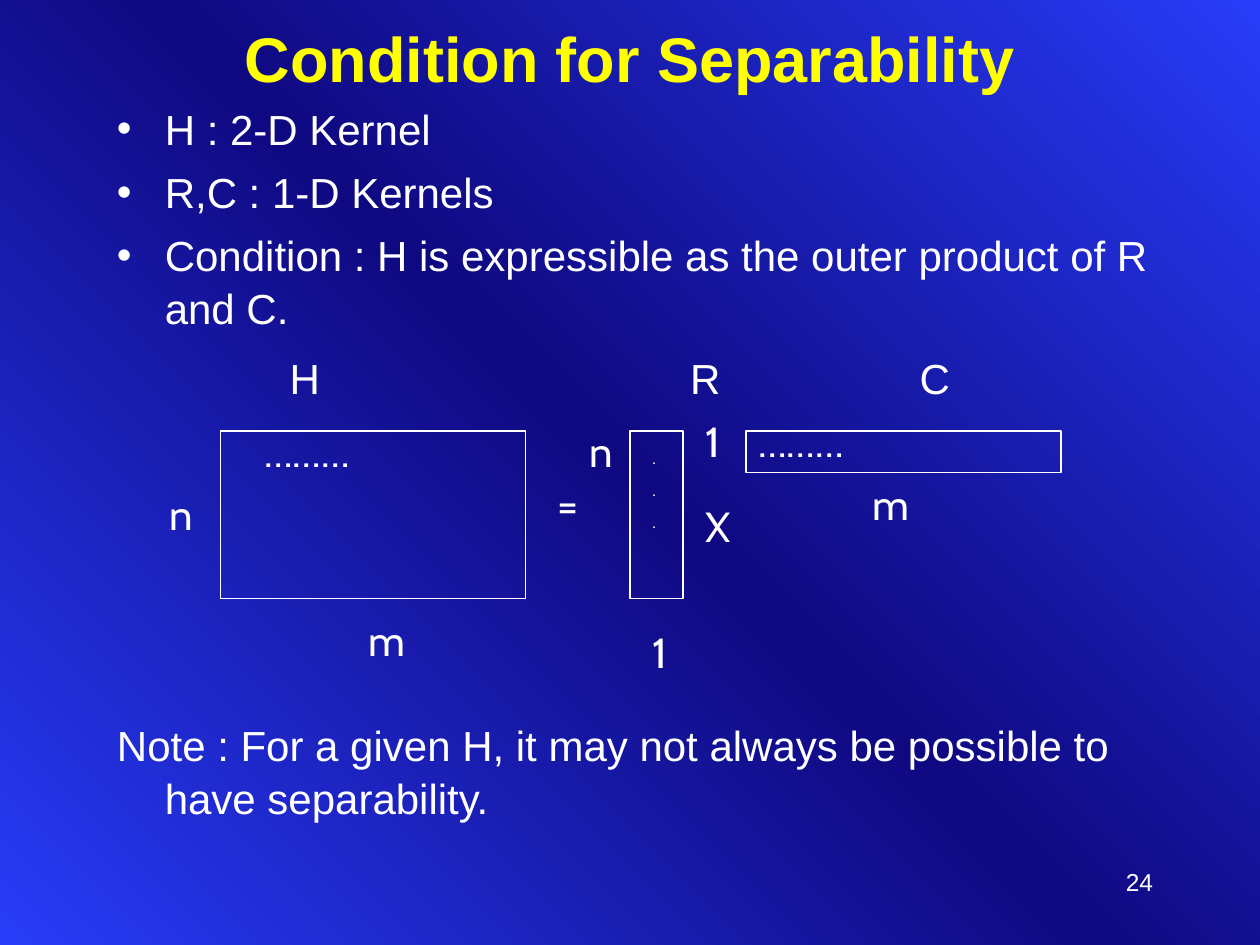
from copy import deepcopy

from lxml import etree
from pptx import Presentation
from pptx.dml.color import RGBColor
from pptx.enum.shapes import MSO_SHAPE
from pptx.enum.text import MSO_ANCHOR, PP_ALIGN
from pptx.oxml.ns import qn
from pptx.util import Inches, Pt

RECTANGLE = MSO_SHAPE.RECTANGLE
LEFT, CENTER, RIGHT = PP_ALIGN.LEFT, PP_ALIGN.CENTER, PP_ALIGN.RIGHT
TOP, MIDDLE = MSO_ANCHOR.TOP, MSO_ANCHOR.MIDDLE
WHITE, YELLOW = "FFFFFF", "FFFF00"
BRIGHT_BLUE, DEEP_BLUE = "283CF8", "0F0981"
HANGING = 0.38


def color(value):
    return RGBColor.from_string(value)


def paint_background(slide):
    fill = slide.background.fill
    fill.gradient()
    fill.gradient_angle = 45
    stop_list = next(slide.element.iter(qn("a:gsLst")))
    stop_list.insert(1, deepcopy(stop_list[0]))
    stops = zip(fill.gradient_stops, (0, 0.5, 1), (BRIGHT_BLUE, DEEP_BLUE, BRIGHT_BLUE))
    for stop, position, shade in stops:
        stop.position = position
        stop.color.rgb = color(shade)


def hang(paragraph, bullet):
    properties = paragraph._p.get_or_add_pPr()
    properties.set("marL", str(Inches(HANGING)))
    properties.set("indent", str(-Inches(HANGING)))
    if bullet:
        etree.SubElement(properties, qn("a:buFont"), typeface="Arial")
        etree.SubElement(properties, qn("a:buChar"), char="•")


def add_text(slide, box, lines, size=24, font="Arial", shade=WHITE, bold=False,
             align=LEFT, anchor=TOP, gap=0, spacing=None, hanging=False, bullet=False):
    frame = slide.shapes.add_textbox(*map(Inches, box)).text_frame
    frame.word_wrap = True
    frame.vertical_anchor = anchor
    for index, line in enumerate(lines):
        paragraph = frame.add_paragraph() if index else frame.paragraphs[0]
        if hanging:
            hang(paragraph, bullet)
        paragraph.alignment = align
        if index:
            paragraph.space_before = Pt(gap)
        if spacing:
            paragraph.line_spacing = spacing
        run = paragraph.add_run()
        run.text = line
        run.font.name = font
        run.font.size = Pt(size)
        run.font.bold = bold
        run.font.color.rgb = color(shade)


def add_matrix(slide, box):
    matrix = slide.shapes.add_shape(RECTANGLE, *map(Inches, box))
    matrix.shadow.inherit = False
    matrix.fill.background()
    matrix.line.color.rgb = color(WHITE)
    matrix.line.width = Pt(1)


def add_diagram(slide):
    for name, left in (("H", 2.2), ("R", 5.38), ("C", 7.2)):
        add_text(slide, (left, 2.75, 0.5, 0.5), [name])

    for box in ((1.75, 3.42, 2.42, 1.33), (5, 3.42, 0.42, 1.33), (5.92, 3.42, 2.5, 0.33)):
        add_matrix(slide, box)

    labels = [
        ("n", 1.25, 3.83, 0.33),
        ("1", 5.5, 3.25, 0.33),
        ("m", 2.83, 4.83, 0.5),
        ("=", 4.33, 3.75, 0.42),
        ("1", 5.08, 4.92, 0.33),
        ("n", 4.58, 3.33, 0.33),
        ("m", 6.83, 3.75, 0.42),
        ("X", 5.5, 3.92, 0.5),
        ("………", 2, 3.33, 1.92),
        ("………", 5.92, 3.25, 1.92),
    ]
    for label, left, top, width in labels:
        add_text(slide, (left, top, width, 0.5), [label], font="Cabin")
    add_text(slide, (5.08, 3.5, 0.33, 0.78), ["."] * 3, size=10, font="Cabin", gap=6.2)


def main():
    deck = Presentation()
    deck.slide_width, deck.slide_height = Inches(10), Inches(7.5)
    slide = deck.slides.add_slide(deck.slide_layouts[6])
    paint_background(slide)

    add_text(slide, (7.17, 6.83, 2.08, 0.5), ["24"], size=14, align=RIGHT)
    add_text(slide, (0.75, 0.08, 8.5, 0.75), ["Condition for Separability"],
             size=36, shade=YELLOW, bold=True, align=CENTER, anchor=MIDDLE)
    conditions = [
        "H : 2-D Kernel",
        "R,C : 1-D Kernels",
        "Condition : H is expressible as the outer product of R and C.",
    ]
    add_text(slide, (0.83, 0.75, 8.5, 1.95), conditions,
             gap=6, spacing=1.05, hanging=True, bullet=True)
    add_diagram(slide)
    note = "Note : For a given H, it may not always be possible to have separability."
    add_text(slide, (0.83, 5.64, 8.5, 0.95), [note], spacing=1.05, hanging=True)

    deck.save("out.pptx")


if __name__ == "__main__":
    main()
